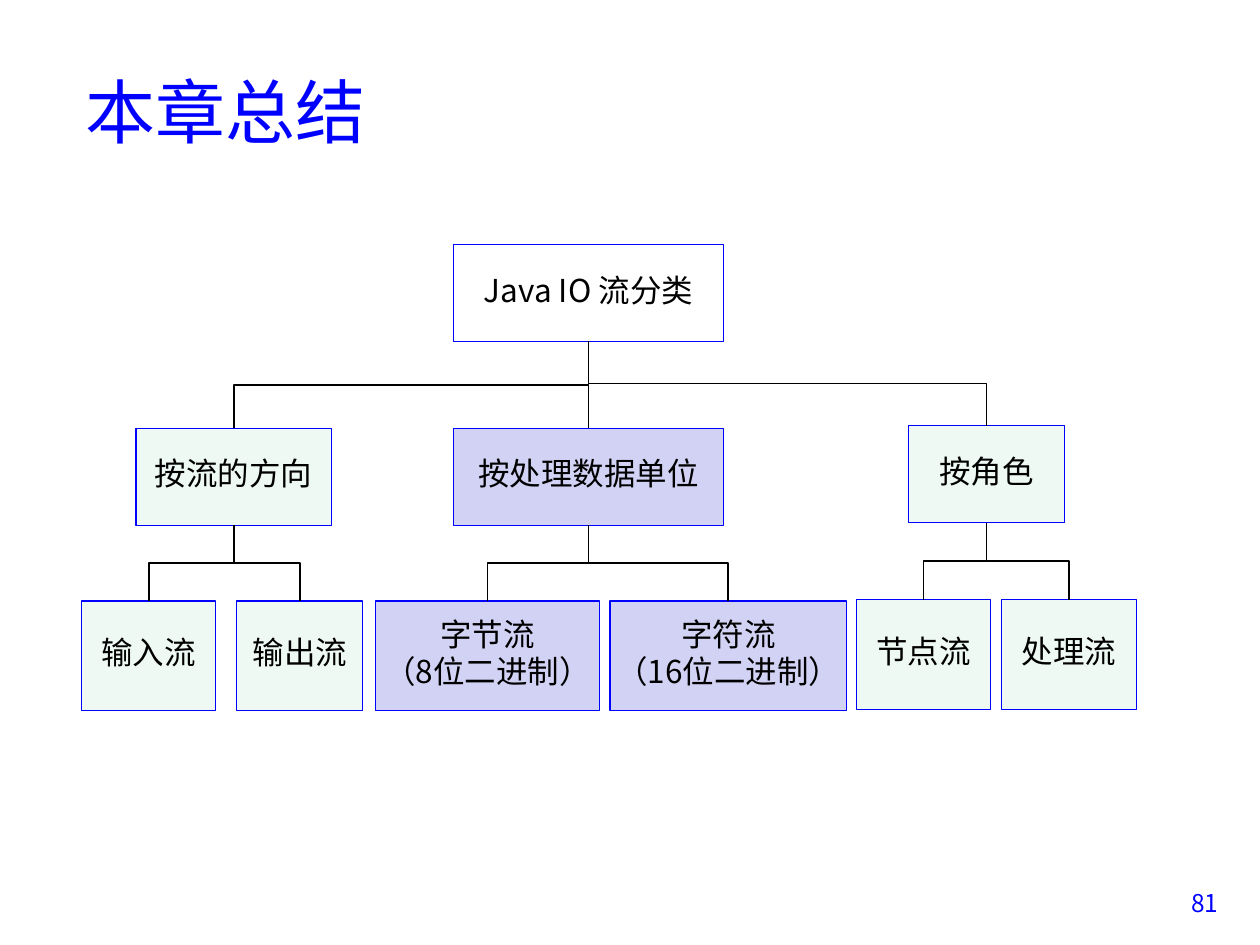
from lxml.etree import SubElement
from pptx import Presentation
from pptx.dml.color import RGBColor
from pptx.enum.shapes import MSO_CONNECTOR, MSO_SHAPE
from pptx.enum.text import MSO_ANCHOR, PP_ALIGN
from pptx.oxml.ns import qn
from pptx.util import Inches, Pt

FONT = "Noto Sans CJK SC"
COLORS = {
    "blue": "0000FF",
    "black": "000000",
    "mint": "EEF9F4",
    "lavender": "D2D2F4",
}
BOTTOM, TOP = 2, 0

# Each branch: text, fill, (left, top, width), leaves top, leaves (text lines, left, width)
BRANCHES = [
    ("按流的方向", "mint", (1.08, 3.4, 1.55), 4.77,
     [(["输入流"], 0.65, 1.06), (["输出流"], 1.88, 1)]),
    ("按处理数据单位", "lavender", (3.6, 3.4, 2.14), 4.77,
     [(["字节流", "（8位二进制）"], 2.98, 1.78),
      (["字符流", "（16位二进制）"], 4.84, 1.88)]),
    ("按角色", "mint", (7.21, 3.38, 1.24), 4.76,
     [(["节点流"], 6.8, 1.06), (["处理流"], 7.95, 1.07)]),
]
BRANCH_HEIGHT = 0.77
LEAF_HEIGHT = 0.87


def rgb(name):
    return RGBColor.from_string(COLORS[name])


def add_run(paragraph, text, size, color):
    run = paragraph.add_run()
    run.text = text
    run.font.size = Pt(size)
    run.font.name = FONT
    run.font.color.rgb = rgb(color)
    SubElement(run.font._element, qn("a:ea"), typeface=FONT)


def add_label(slide, text, left, top, width, height, size, align, anchor):
    label = slide.shapes.add_textbox(
        Inches(left), Inches(top), Inches(width), Inches(height))
    frame = label.text_frame
    frame.word_wrap = True
    frame.vertical_anchor = anchor
    frame.paragraphs[0].alignment = align
    add_run(frame.paragraphs[0], text, size, "blue")


def add_node(slide, lines, left, top, width, height, fill=None):
    node = slide.shapes.add_shape(
        MSO_SHAPE.RECTANGLE,
        Inches(left), Inches(top), Inches(width), Inches(height))
    node.shadow.inherit = False
    if fill:
        node.fill.solid()
        node.fill.fore_color.rgb = rgb(fill)
    else:
        node.fill.background()
    node.line.color.rgb = rgb("blue")
    node.line.width = Pt(0.75)

    frame = node.text_frame
    frame.word_wrap = True
    frame.vertical_anchor = MSO_ANCHOR.MIDDLE
    if len(lines) > 1:
        frame.margin_left = frame.margin_right = 0
        frame.margin_top = frame.margin_bottom = 0
    for index, line in enumerate(lines):
        paragraph = frame.add_paragraph() if index else frame.paragraphs[0]
        paragraph.alignment = PP_ALIGN.CENTER
        paragraph.line_spacing = 0.8
        if index:
            paragraph.space_before = Pt(3.6)
        properties = paragraph._p.get_or_add_pPr()
        properties.set("marL", str(Inches(0.38)))
        properties.set("indent", str(-Inches(0.38)))
        add_run(paragraph, line, 18, "black")
    return node


def link(slide, parent, child):
    """Join the parent's bottom to the child's top, bending halfway down."""
    start_x = parent.left + parent.width // 2
    start_y = parent.top + parent.height
    end_x = child.left + child.width // 2
    end_y = child.top
    across, down = end_x - start_x, end_y - start_y
    kind = MSO_CONNECTOR.ELBOW if across else MSO_CONNECTOR.STRAIGHT
    connector = slide.shapes.add_connector(kind, start_x, start_y, end_x, end_y)
    connector.begin_connect(parent, BOTTOM)
    connector.end_connect(child, TOP)
    if across:
        # An elbow leaves sideways, so turn it a quarter to leave downwards.
        connector.width, connector.height = down, abs(across)
        connector.left = (start_x + end_x - down) // 2
        connector.top = (start_y + end_y - abs(across)) // 2
        transform = connector._element.spPr.find(qn("a:xfrm"))
        transform.set("rot", str((90 if across < 0 else 270) * 60000))
        transform.set("flipH", "0" if across < 0 else "1")
        transform.set("flipV", "0")
    connector.line.color.rgb = rgb("black")
    connector.line.width = Pt(1)
    SubElement(connector._element.spPr, qn("a:effectLst"))


def add_tree(slide):
    root = add_node(slide, ["Java IO 流分类"], 3.6, 1.94, 2.14, BRANCH_HEIGHT)
    for text, fill, (left, top, width), leaf_top, leaves in BRANCHES:
        branch = add_node(slide, [text], left, top, width, BRANCH_HEIGHT, fill)
        link(slide, root, branch)
        for lines, leaf_left, leaf_width in leaves:
            leaf = add_node(slide, lines, leaf_left, leaf_top,
                            leaf_width, LEAF_HEIGHT, fill)
            link(slide, branch, leaf)


def main():
    presentation = Presentation()
    presentation.slide_width = Inches(10)
    presentation.slide_height = Inches(7.5)
    slide = presentation.slides.add_slide(presentation.slide_layouts[6])
    add_label(slide, "本章总结", 0.58, 0.25, 8.5, 1.25, 40,
              PP_ALIGN.LEFT, MSO_ANCHOR.MIDDLE)
    add_label(slide, "81", 9.1, 7, 0.67, 0.5, 14,
              PP_ALIGN.RIGHT, MSO_ANCHOR.TOP)
    add_tree(slide)
    presentation.save("out.pptx")


if __name__ == "__main__":
    main()
